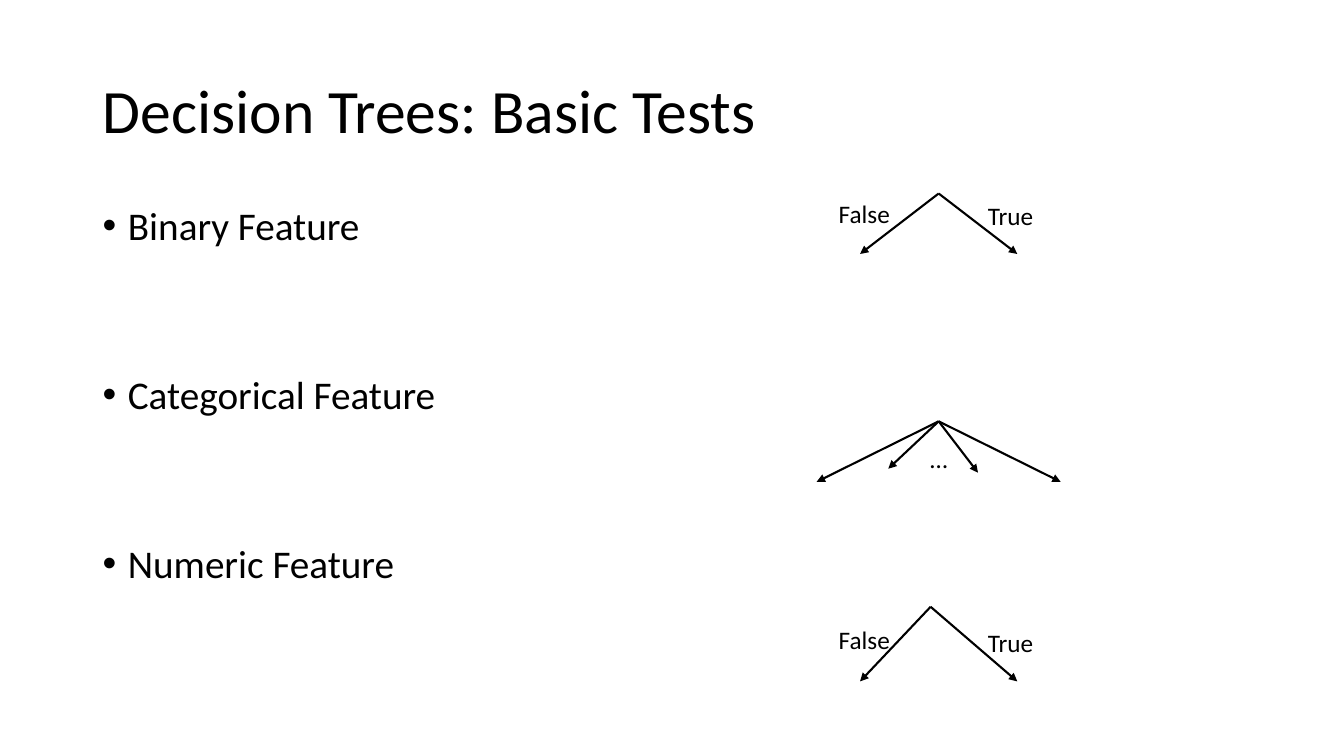
from pptx import Presentation
from pptx.dml.color import RGBColor
from pptx.enum import shapes, text
from pptx.oxml.ns import qn
from pptx.util import Inches, Pt
from lxml import etree

BLACK = RGBColor(0, 0, 0)
FONT = "Calibri"


def style(para, size):
    for run in para.runs:
        run.font.size = Pt(size)
        run.font.name = FONT
        run.font.color.rgb = BLACK


deck = Presentation()
deck.slide_width, deck.slide_height = Inches(13.33), Inches(7.5)
slide = deck.slides.add_slide(deck.slide_layouts[5])

# Title
title = slide.shapes.title
title.left, title.top = Inches(0.92), Inches(0.4)
title.width, title.height = Inches(11.5), Inches(1.45)
frame = title.text_frame
frame.text = "Decision Trees: Basic Tests"
frame.auto_size = text.MSO_AUTO_SIZE.NONE
frame.vertical_anchor = text.MSO_ANCHOR.MIDDLE
head = frame.paragraphs[0]
head.alignment = text.PP_ALIGN.LEFT
head.line_spacing = 0.9
style(head, 44)

# Feature list
body = slide.shapes.add_textbox(Inches(0.92), Inches(2), Inches(4.01), Inches(4.76))
frame = body.text_frame
frame.word_wrap = True
frame.text = "Binary Feature\nCategorical Feature\nNumeric Feature"
for i, para in enumerate(frame.paragraphs):
    props = para._p.get_or_add_pPr()
    props.set("marL", str(Inches(0.25)))
    props.set("indent", str(Inches(-0.25)))
    etree.SubElement(props, qn("a:buFont")).set("typeface", "Arial")
    etree.SubElement(props, qn("a:buChar")).set("char", "•")
    para.line_spacing = 0.9
    para.space_before = Pt(90.5 if i else 0)
    style(para, 28)

# Each tree: root, then the tips of its branches
trees = [
    ((9.31, 1.92), [(8.53, 2.52), (10.09, 2.52)]),
    ((9.31, 4.18), [(8.1, 4.78), (10.52, 4.78), (8.81, 4.65), (9.7, 4.69)]),
    ((9.23, 6.02), [(8.53, 6.76), (10.09, 6.76)]),
]
for (x, y), tips in trees:
    for tipx, tipy in tips:
        branch = slide.shapes.add_connector(
            shapes.MSO_CONNECTOR.STRAIGHT,
            Inches(x), Inches(y), Inches(tipx), Inches(tipy))
        branch.line.color.rgb = BLACK
        branch.line.width = Pt(1.5)
        etree.SubElement(branch.line._get_or_add_ln(), qn("a:tailEnd")).set("type", "triangle")
        etree.SubElement(branch._element.spPr, qn("a:effectLst"))

# Branch labels: words, left, top, width
labels = [
    ("True", 9.7, 1.94, 0.66),
    ("False", 8.22, 1.92, 0.71),
    ("…", 9.12, 4.35, 0.38),
    ("True", 9.7, 6.17, 0.66),
    ("False", 8.22, 6.14, 0.71),
]
for words, x, y, width in labels:
    label = slide.shapes.add_textbox(Inches(x), Inches(y), Inches(width), Inches(0.4))
    frame = label.text_frame
    frame.word_wrap = False
    frame.auto_size = text.MSO_AUTO_SIZE.SHAPE_TO_FIT_TEXT
    frame.text = words
    para = frame.paragraphs[0]
    if words == "…":
        para.alignment = text.PP_ALIGN.CENTER
    style(para, 18)

deck.save("out.pptx")
